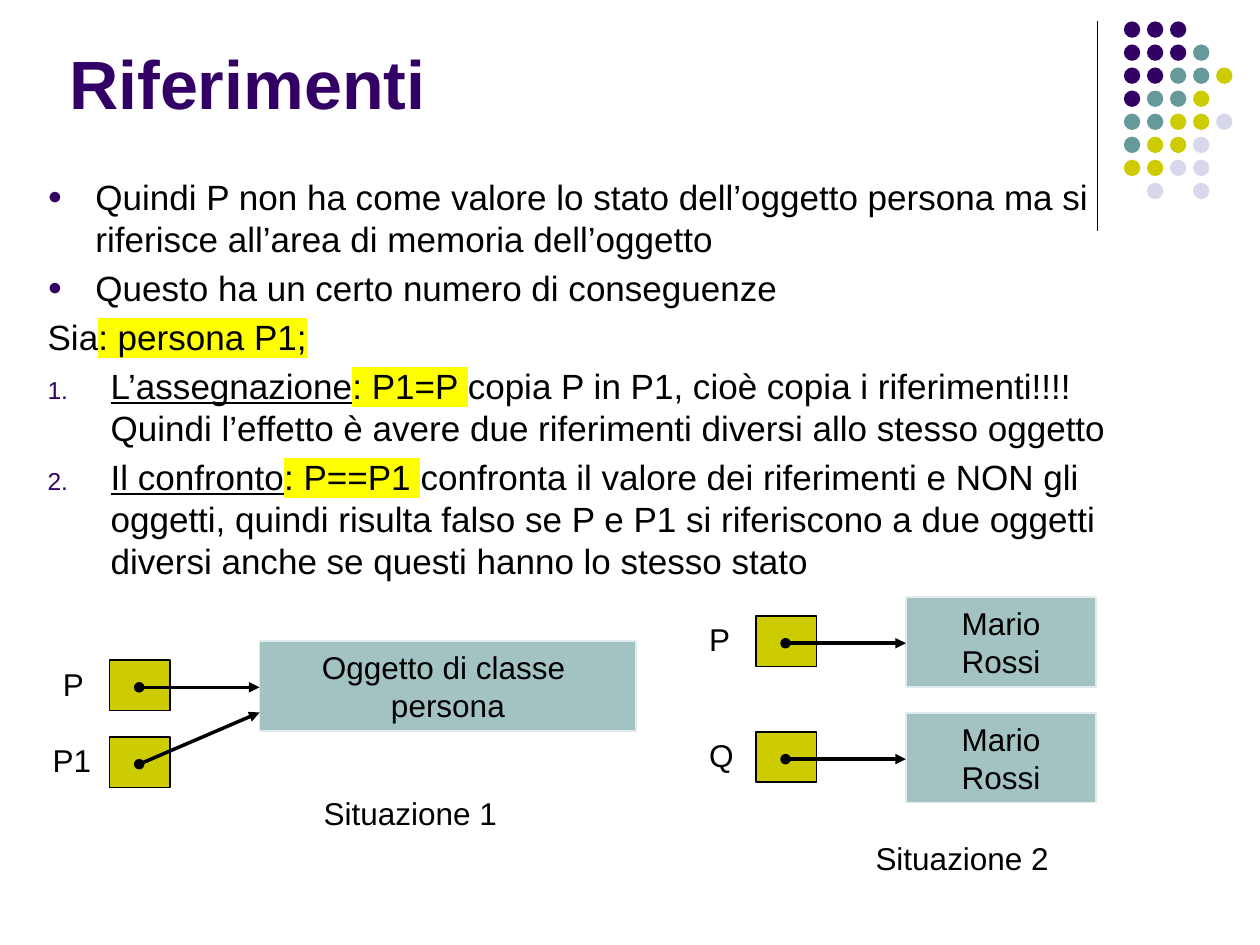
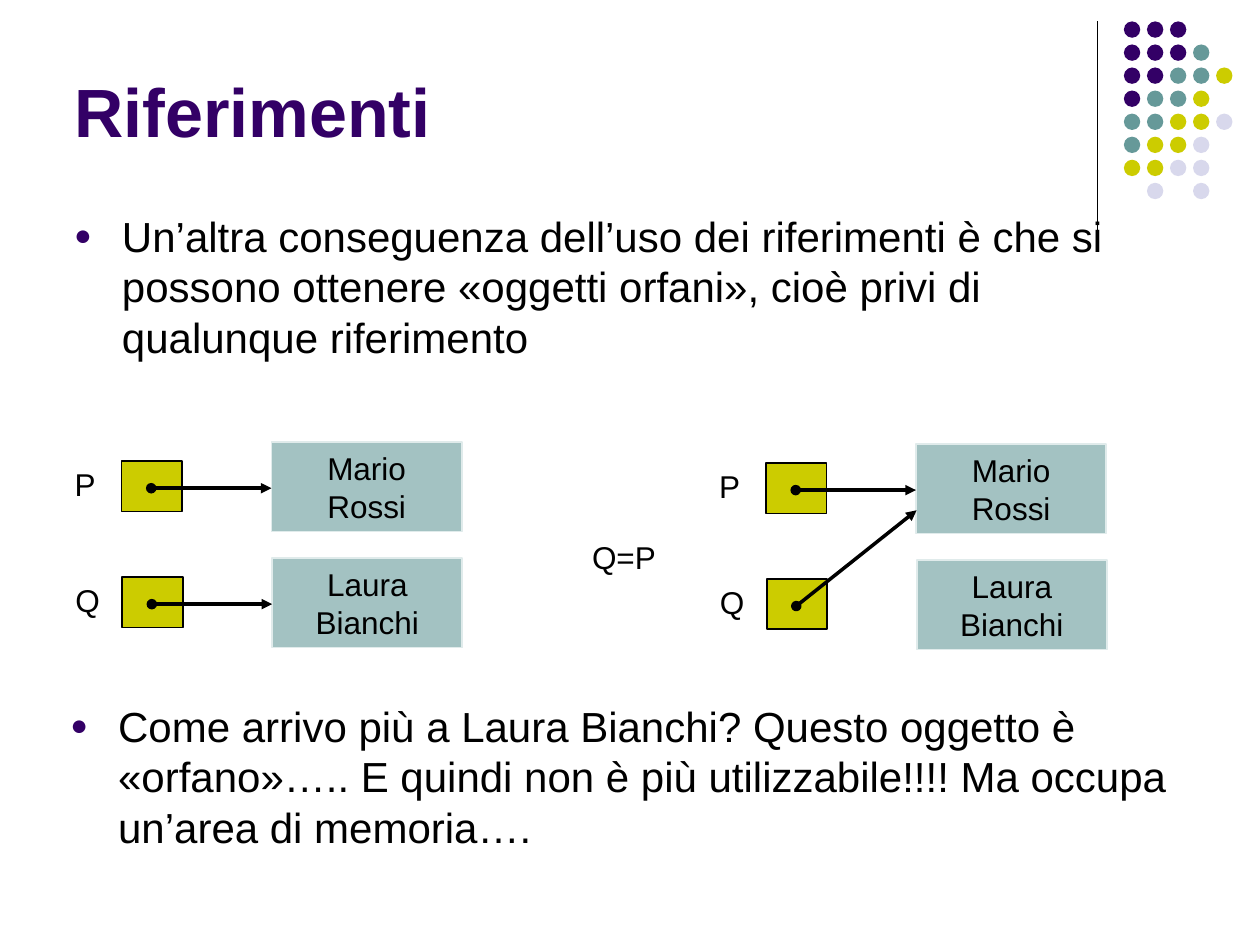
from collections import namedtuple

from lxml import etree
from pptx import Presentation
from pptx.dml.color import RGBColor
from pptx.enum.shapes import MSO_CONNECTOR, MSO_SHAPE
from pptx.enum.text import MSO_ANCHOR, PP_ALIGN
from pptx.oxml.ns import qn
from pptx.util import Inches, Pt

RECT, OVAL = MSO_SHAPE.RECTANGLE, MSO_SHAPE.OVAL
STRAIGHT = MSO_CONNECTOR.STRAIGHT
TOP, MIDDLE, BOTTOM = MSO_ANCHOR.TOP, MSO_ANCHOR.MIDDLE, MSO_ANCHOR.BOTTOM
LEFT, CENTER = PP_ALIGN.LEFT, PP_ALIGN.CENTER

# The slide is a grid of 100 columns by 75 rows
COLUMNS, ROWS = 100, 75
CELL = Inches(0.1)
FONT = "Arial"
COLORS = {
    "violet": "330066",
    "teal": "669999",
    "olive": "CCCC00",
    "lavender": "D8D8EC",
    "object": "A3C2C2",
    "object_edge": "E0EBEB",
    "black": "000000",
    "marker": "FFFF00",
}
DOT_COLORS = {"v": "violet", "t": "teal", "o": "olive", "l": "lavender"}
DOT_PATTERN = ["vvv", "vvvt", "vvtto", "vtto", "ttool", "tool", "ooll", " l l"]

Box = namedtuple("Box", "left top width height")
# One paragraph: its spans as (text, style) pairs and its list kind
Item = namedtuple("Item", "spans kind")
# Hanging indent in columns for each list kind
INDENTS = {"bullet": 3.8, "number": 5, "plain": 0}


def grid(value):
    return round(value * CELL)


def color(name):
    return RGBColor.from_string(COLORS[name])


def add_child(parent, tag, **attributes):
    return etree.SubElement(parent, qn(tag), attributes)


# Text
def add_span(para, text, size, ink="black", bold=False, style="normal"):
    span = para.add_run()
    span.text = text
    font = span.font
    font.size, font.bold = Pt(size), bold
    font.color.rgb = color(ink)
    if style == "underlined":
        font.underline = True
    if style == "marked":
        highlight = add_child(font._element, "a:highlight")
        add_child(highlight, "a:srgbClr", val=COLORS["marker"])
    font.name = FONT


def set_list_kind(para, kind):
    indent = grid(INDENTS[kind])
    properties = para._p.get_or_add_pPr()
    properties.set("marL", str(indent))
    properties.set("indent", str(-indent))
    if kind == "plain":
        add_child(properties, "a:buNone")
        return
    bullet_color = add_child(properties, "a:buClr")
    add_child(bullet_color, "a:srgbClr", val=COLORS["violet"])
    add_child(properties, "a:buSzPct", val="70000")
    add_child(properties, "a:buFont", typeface=FONT)
    if kind == "bullet":
        add_child(properties, "a:buChar", char="●")
    else:
        add_child(properties, "a:buAutoNum", type="arabicPeriod")


def fill_lines(frame, lines, size, align=LEFT, **look):
    for index, line in enumerate(lines):
        para = frame.add_paragraph() if index else frame.paragraphs[0]
        para.alignment = align
        add_span(para, line, size, **look)


def add_text_box(shapes, box, anchor=TOP, wrap=True):
    frame = shapes.add_textbox(*map(grid, box)).text_frame
    frame.word_wrap = wrap
    frame.vertical_anchor = anchor
    return frame


def add_label(shapes, box, text, wrap=True):
    fill_lines(add_text_box(shapes, box, wrap=wrap), [text], 18)


def add_title(page, box, text):
    frame = add_text_box(page.shapes, box, anchor=BOTTOM)
    fill_lines(frame, [text], 39, ink="violet", bold=True)


def add_body(page, box, items, size):
    frame = add_text_box(page.shapes, box)
    for index, item in enumerate(items):
        para = frame.add_paragraph() if index else frame.paragraphs[0]
        set_list_kind(para, item.kind)
        if index:
            para.space_before = Pt(size * 0.2)
        for text, style in item.spans:
            add_span(para, text, size, style=style)


# Shapes
def add_figure(shapes, kind, box, fill, edge=None):
    figure = shapes.add_shape(kind, *map(grid, box))
    figure.shadow.inherit = False
    figure.fill.solid()
    figure.fill.fore_color.rgb = color(fill)
    if edge:
        figure.line.color.rgb = color(edge)
        figure.line.width = Pt(1)
    else:
        figure.line.fill.background()
    return figure


def add_line(shapes, start, end, width, arrow=False):
    line = shapes.add_connector(STRAIGHT, *map(grid, (*start, *end)))
    line.line.color.rgb = color("black")
    line.line.width = Pt(width)
    if arrow:
        outline = line.line._get_or_add_ln()
        add_child(outline, "a:headEnd", type="oval")
        add_child(outline, "a:tailEnd", type="triangle")
    add_child(line._element.spPr, "a:effectLst")


def add_corner(page, box):
    """Vertical rule with the dot pattern to its right."""
    add_line(page.shapes, (box.left, box.top), (box.left, box.top + box.height), 0.75)
    dots = page.shapes.add_group_shape().shapes
    step, diameter = 1.83, 1.3
    for row, pattern in enumerate(DOT_PATTERN):
        for column, key in enumerate(pattern):
            if key != " ":
                dot = Box(box.left + 2.1 + column * step, box.top + row * step,
                          diameter, diameter)
                add_figure(dots, OVAL, dot, DOT_COLORS[key])


def add_reference(page, box, label, object_lines=(), label_width=4.7, rise=0):
    """Variable cell and arrow, with the object at the right edge of the box."""
    shapes = page.shapes.add_group_shape().shapes
    cell = Box(box.left + 4.75, box.top + 1.5, 4.8, 4)
    object_left = box.left + 16.65
    arrow_top = box.top + 3.65

    add_figure(shapes, RECT, cell, "olive", "black")
    add_label(shapes, Box(cell.left - label_width, cell.top - 0.15, label_width, 4), label)
    if object_lines:
        target = Box(object_left, box.top, box.left + box.width - object_left, box.height)
        frame = add_figure(shapes, RECT, target, "object", "object_edge").text_frame
        frame.word_wrap = True
        frame.vertical_anchor = MIDDLE
        fill_lines(frame, object_lines, 18, CENTER)
    add_line(shapes, (cell.left + 2.35, arrow_top), (object_left, arrow_top - rise), 2, arrow=True)


# Slides
def add_page(deck, title_box):
    page = deck.slides.add_slide(deck.slide_layouts[6])
    add_corner(page, Box(87.1, 1.7, 0, 16.6))
    add_title(page, title_box, "Riferimenti")
    return page


def reference_box(left, top, width=31.75):
    return Box(left, top, width, 7.1)


def build_assignment_page(deck):
    page = add_page(deck, Box(4.5, -3.9, 82.5, 14.2))
    items = [
        Item([("Quindi P non ha come valore lo stato dell’oggetto persona ma si "
               "riferisce all’area di memoria dell’oggetto", "normal")], "bullet"),
        Item([("Questo ha un certo numero di conseguenze", "normal")], "bullet"),
        Item([("Sia", "normal"), (": persona P1;", "marked")], "plain"),
        Item([("L’assegnazione", "underlined"), (": P1=P ", "marked"),
              ("copia P in P1, cioè copia i riferimenti!!!! Quindi l’effetto è "
               "avere due riferimenti diversi allo stesso oggetto", "normal")], "number"),
        Item([("Il confronto", "underlined"), (": P==P1 ", "marked"),
              ("confronta il valore dei riferimenti e NON gli oggetti, quindi "
               "risulta falso se P e P1 si riferiscono a due oggetti diversi "
               "anche se questi hanno lo stesso stato", "normal")], "number"),
    ]
    add_body(page, Box(2.8, 13.4, 90, 48.2), items, 20)

    # Two references to one object
    add_reference(page, reference_box(3.95, 50.9, 46.55), "P",
                  ["Oggetto di classe ", "persona"])
    add_reference(page, reference_box(3.95, 57), "P1", label_width=5.5, rise=4.1)
    add_label(page.shapes, Box(24.7, 62.5, 15.9, 4), "Situazione 1", wrap=False)

    # Two references to two equal objects
    for row, name in enumerate("PQ"):
        add_reference(page, reference_box(55.25, 47.4 + row * 9.2), name, ["Mario", "Rossi"])
    add_label(page.shapes, Box(68.5, 66.1, 15.9, 4), "Situazione 2", wrap=False)


def build_orphan_page(deck):
    page = add_page(deck, Box(4.9, -1.7, 82.5, 14.2))
    premise = ("Un’altra conseguenza dell’uso dei riferimenti è che si possono "
               "ottenere «oggetti orfani», cioè privi di qualunque riferimento")
    outcome = ("Come arrivo più a Laura Bianchi? Questo oggetto è «orfano»….. E quindi "
               "non è più utilizzabile!!!! Ma occupa un’area di memoria….")
    for left, top, text in [(4.9, 16.2, premise), (4.6, 55.1, outcome)]:
        add_body(page, Box(left, top, 90, 16.7), [Item([(text, "normal")], "bullet")], 24)

    # Before and after the assignment
    for left, top, rise in [(4.9, 35.1, 0), (56.05, 35.25, 7.6)]:
        add_reference(page, reference_box(left, top), "P", ["Mario", "Rossi"])
        add_reference(page, reference_box(left + 0.05, top + 9.2), "Q",
                      ["Laura", "Bianchi"], rise=rise)
    add_label(page.shapes, Box(46, 42.2, 7.1, 4), "Q=P", wrap=False)


def main():
    deck = Presentation()
    deck.slide_width, deck.slide_height = COLUMNS * CELL, ROWS * CELL
    build_assignment_page(deck)
    build_orphan_page(deck)
    deck.save("out.pptx")


if __name__ == "__main__":
    main()
